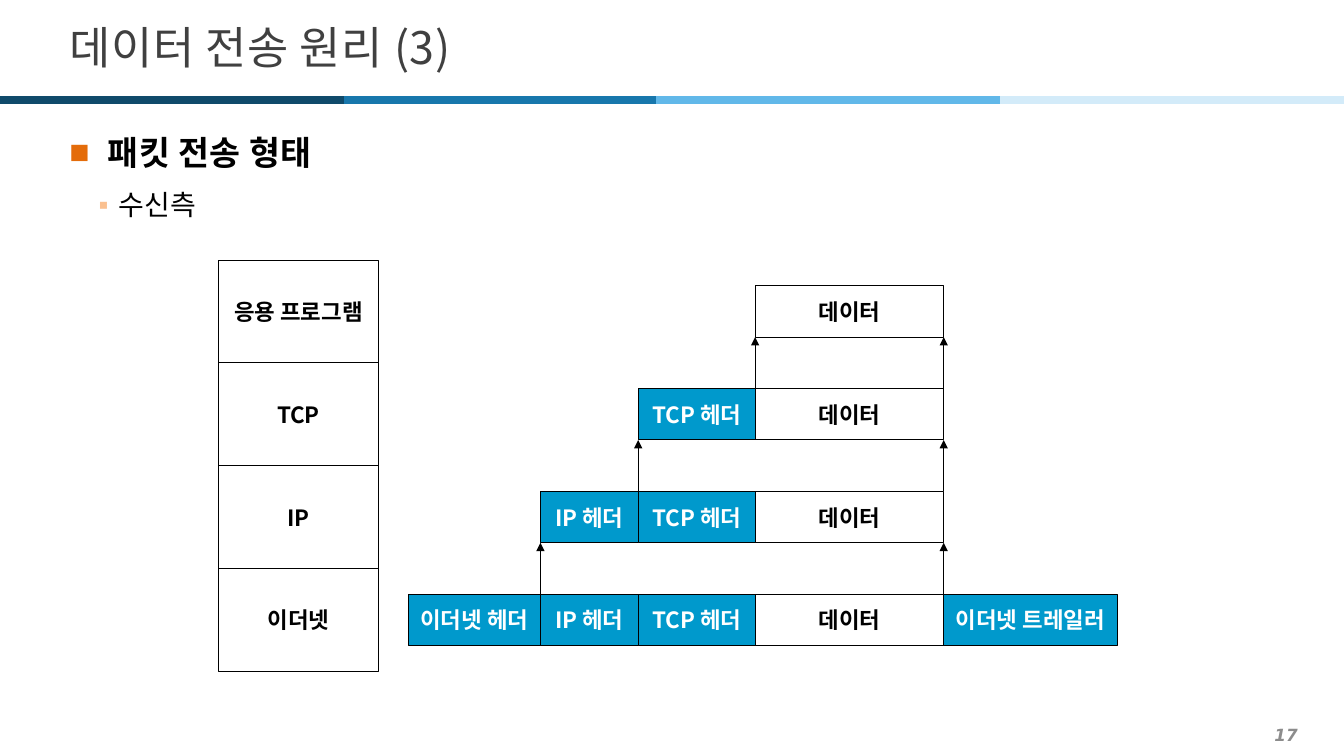
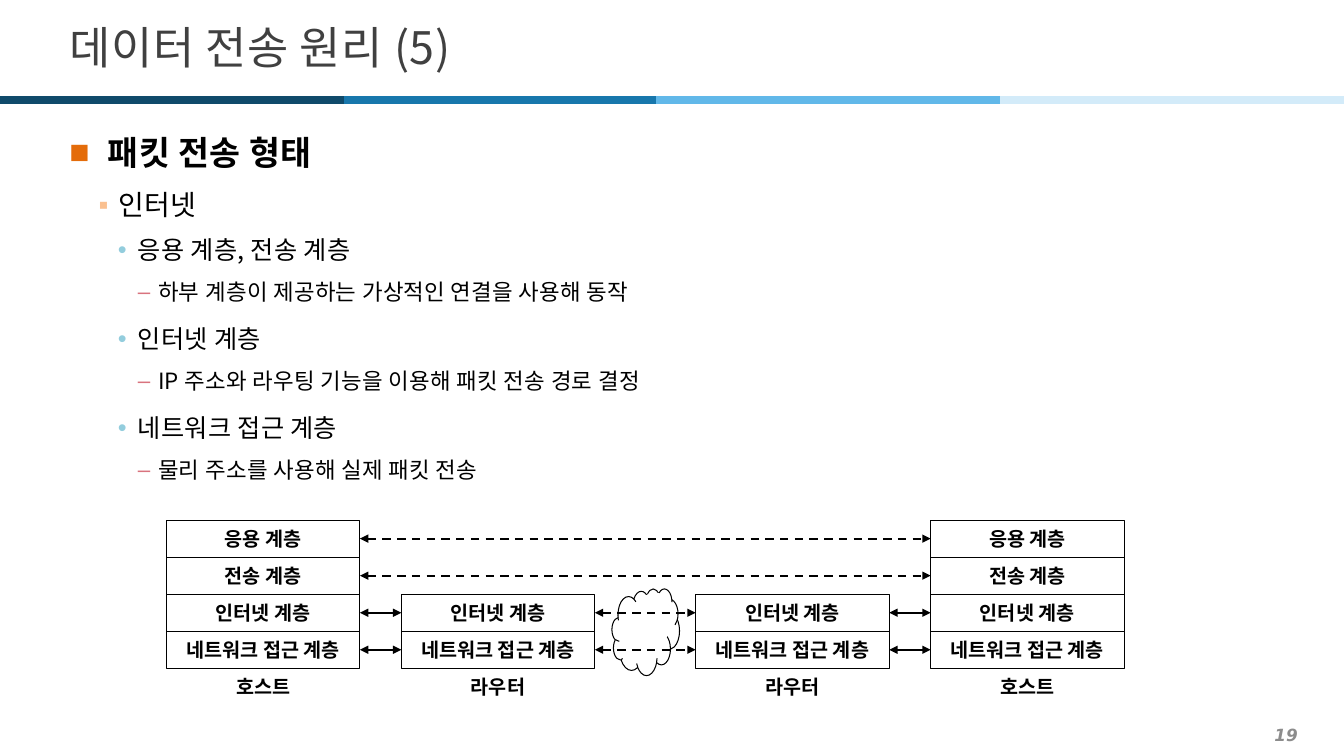
import pptx
import pptx.util
import pptx.dml.color
import pptx.enum.dml
import pptx.enum.shapes
import pptx.enum.text
import pptx.oxml
import pptx.oxml.ns

Inches, Pt = pptx.util.Inches, pptx.util.Pt
SHAPE = pptx.enum.shapes.MSO_SHAPE
ALIGN = pptx.enum.text.PP_ALIGN
ANCHOR = pptx.enum.text.MSO_ANCHOR

# Shared look
WIDTH, HEIGHT = 13.33, 7.5
KOREAN = "Noto Sans CJK KR"
COLORS = {
    "title": "404040", "ink": "000000", "paper": "FFFFFF",
    "page": "8C8C8C", "header": "0099CC",
    "band1": "0F4A6B", "band2": "1877AC", "band3": "61B8E9", "band4": "D3EBF9",
    "bullet0": "E46C0A", "bullet1": "FAC090", "bullet2": "93CDDD", "bullet3": "D9737E",
}
BAND_EDGES = [0, 3.41, 6.51, 9.92, WIDTH]
BAND_Y = 0.99
MARGIN, CONTENT_WIDTH = 0.59, 12.21

# Outline levels: bullet, left margin, hanging indent, then text format
LEVELS = [
    ("■", 0.38, 0.38, dict(size=24, bold=True, font="Arial", spacing=1.2, after=2,
                           tracking=0.35)),
    ("▪", 0.49, 0.2, dict(size=20, spacing=1.3, before=2, after=2)),
    ("•", 0.68, 0.2, dict(size=18, spacing=1.2, before=3, after=6, tracking=0.2)),
    ("–", 0.88, 0.2, dict(size=16, before=3.5, after=6, tracking=0.25)),
]

# Packet diagram grid
STACK_LEFT, STACK_WIDTH = 2.17, 1.58
STACK_TOP, STACK_BOTTOM = 2.58, 6.66
LAYERS = ["응용 프로그램", "TCP", "IP", "이더넷"]
PARTS = ["이더넷 헤더", "IP 헤더", "TCP 헤더", "데이터", "이더넷 트레일러"]
PART_EDGES = [4.05, 5.36, 6.33, 7.49, 9.36, 11.08]
DATA = PARTS.index("데이터")
PACKETS = [(3, 4), (2, 4), (1, 4), (0, 5)]  # first and end part of each layer

# Internet diagram grid
NODE_WIDTH = 1.92
NODE_TOP, NODE_BOTTOM = 5.16, 6.63
NET_LAYERS = ["응용 계층", "전송 계층", "인터넷 계층", "네트워크 접근 계층"]
NODES = [("호스트", 1.65, 0), ("라우터", 3.98, 2), ("라우터", 6.9, 2), ("호스트", 9.23, 0)]
NET_LINKS = [  # layer row, left node, right node, dashed
    (0, 0, 3, True), (1, 0, 3, True),
    *((row, node, node + 1, node == 1) for row in (2, 3) for node in range(3)),
]


def rgb(name):
    return pptx.dml.color.RGBColor.from_string(COLORS[name])


def add_xml(parent, tag, **attributes):
    child = pptx.oxml.parse_xml(f"<a:{tag} {pptx.oxml.ns.nsdecls('a')}/>")
    for key, value in attributes.items():
        child.set(key, str(value))
    parent.append(child)
    return child


def write(paragraph, text, size=16, color="ink", bold=False, italic=False, font=KOREAN,
          align=ALIGN.LEFT, spacing=1.0, before=0, after=0, tracking=0):
    paragraph.alignment = align
    paragraph.line_spacing = spacing
    paragraph.space_before, paragraph.space_after = Pt(before), Pt(after)
    run = paragraph.add_run()
    run.text = text
    run.font.size, run.font.bold, run.font.italic = Pt(size), bold, italic
    run.font.name = font
    run.font.color.rgb = rgb(color)
    add_xml(run.font._element, "ea", typeface=KOREAN)
    if tracking:
        run.font._element.set("spc", str(round(tracking * 100)))


def text_box(slide, left, top, width, height, anchor=ANCHOR.MIDDLE, wrap=True):
    box = slide.shapes.add_textbox(Inches(left), Inches(top), Inches(width), Inches(height))
    box.text_frame.word_wrap = wrap
    box.text_frame.vertical_anchor = anchor
    return box.text_frame


def shape(slide, kind, left, top, width, height, fill=None, line="ink"):
    item = slide.shapes.add_shape(kind, Inches(left), Inches(top), Inches(width), Inches(height))
    item.shadow.inherit = False
    if fill:
        item.fill.solid()
        item.fill.fore_color.rgb = rgb(fill)
    else:
        item.fill.background()
    item.line.color.rgb = rgb(line)
    item.line.width = Pt(0.75)
    return item


def cell(slide, text, left, top, width, height, size=16, fill=None):
    frame = shape(slide, SHAPE.RECTANGLE, left, top, width, height, fill).text_frame
    frame.word_wrap = False
    frame.vertical_anchor = ANCHOR.MIDDLE
    write(frame.paragraphs[0], text, size=size, bold=True, align=ALIGN.CENTER,
          color="paper" if fill else "ink")


def line(slide, x1, y1, x2, y2, color="ink", width=0.75, dashed=False, arrows=()):
    stroke = slide.shapes.add_connector(pptx.enum.shapes.MSO_CONNECTOR.STRAIGHT,
                                        Inches(x1), Inches(y1), Inches(x2), Inches(y2))
    stroke.line.color.rgb = rgb(color)
    stroke.line.width = Pt(width)
    if dashed:
        stroke.line.dash_style = pptx.enum.dml.MSO_LINE.DASH
    for end in arrows:
        add_xml(stroke.line._get_or_add_ln(), end, type="triangle")
    add_xml(stroke._element.spPr, "effectLst")


def outline(slide, entries):
    frame = text_box(slide, MARGIN, 1.18, CONTENT_WIDTH, 6.03, anchor=ANCHOR.TOP)
    for index, (level, text) in enumerate(entries):
        paragraph = frame.add_paragraph() if index else frame.paragraphs[0]
        bullet, margin, hanging, text_format = LEVELS[level]
        write(paragraph, text, **text_format)
        paragraph.level = level
        properties = paragraph._p.get_or_add_pPr()
        properties.set("marL", str(Inches(margin)))
        properties.set("indent", str(-Inches(hanging)))
        add_xml(add_xml(properties, "buClr"), "srgbClr", val=COLORS[f"bullet{level}"])
        add_xml(properties, "buFont", typeface="Arial")
        add_xml(properties, "buChar", char=bullet)


def new_slide(deck, title, page, entries):
    slide = deck.slides.add_slide(deck.slide_layouts[6])
    for number, (start, end) in enumerate(zip(BAND_EDGES, BAND_EDGES[1:]), 1):
        line(slide, start, BAND_Y, end, BAND_Y, color=f"band{number}", width=6)
    page_frame = text_box(slide, 0.2, 7.13, 12.77, 0.31)
    write(page_frame.paragraphs[0], page, size=12, color="page", bold=True, italic=True,
          font="DejaVu Sans", align=ALIGN.RIGHT)
    title_frame = text_box(slide, MARGIN, 0.12, CONTENT_WIDTH, 0.68)
    write(title_frame.paragraphs[0], title, size=32, color="title", tracking=0.4)
    outline(slide, entries)
    return slide


def packet_diagram(slide):
    pitch = (STACK_BOTTOM - STACK_TOP) / len(LAYERS)
    height = pitch / 2
    for row, (layer, (first, end)) in enumerate(zip(LAYERS, PACKETS)):
        layer_top = STACK_TOP + row * pitch
        top = layer_top + pitch / 4
        cell(slide, layer, STACK_LEFT, layer_top, STACK_WIDTH, pitch)
        for part in range(first, end):
            left, right = PART_EDGES[part:part + 2]
            cell(slide, PARTS[part], left, top, right - left, height,
                 fill=None if part == DATA else "header")
        # Each packet is handed up to the layer above
        if row:
            for edge in PACKETS[row - 1]:
                x = PART_EDGES[edge]
                line(slide, x, top, x, top - height, arrows=["tailEnd"])


def internet_diagram(slide):
    pitch = (NODE_BOTTOM - NODE_TOP) / len(NET_LAYERS)
    # Network cloud, with its callout bubbles covered
    cloud = shape(slide, SHAPE.CLOUD_CALLOUT, 6.07, 5.84, 0.67, 0.86, fill="paper")
    cloud.adjustments[0], cloud.adjustments[1] = 0.057, -0.057
    shape(slide, SHAPE.OVAL, 6.32, 5.88, 0.34, 0.51, fill="paper", line="paper")
    # Hosts and routers
    for name, left, first in NODES:
        for row in range(first, len(NET_LAYERS)):
            cell(slide, NET_LAYERS[row], left, NODE_TOP + row * pitch, NODE_WIDTH, pitch, size=14)
        label = text_box(slide, left, NODE_BOTTOM, NODE_WIDTH, pitch, wrap=False)
        write(label.paragraphs[0], name, size=14, bold=True, align=ALIGN.CENTER)
    # Links between equal layers
    for row, start, end, dashed in NET_LINKS:
        y = NODE_TOP + (row + 0.5) * pitch
        line(slide, NODES[start][1] + NODE_WIDTH, y, NODES[end][1], y, width=1.5,
             dashed=dashed, arrows=["headEnd", "tailEnd"])


def main():
    deck = pptx.Presentation()
    deck.slide_width, deck.slide_height = Inches(WIDTH), Inches(HEIGHT)

    packet_diagram(new_slide(deck, "데이터 전송 원리 (3)", "17", [
        (0, "패킷 전송 형태"),
        (1, "수신측"),
    ]))
    internet_diagram(new_slide(deck, "데이터 전송 원리 (5)", "19", [
        (0, "패킷 전송 형태"),
        (1, "인터넷"),
        (2, "응용 계층, 전송 계층"),
        (3, "하부 계층이 제공하는 가상적인 연결을 사용해 동작"),
        (2, "인터넷 계층"),
        (3, "IP 주소와 라우팅 기능을 이용해 패킷 전송 경로 결정"),
        (2, "네트워크 접근 계층"),
        (3, "물리 주소를 사용해 실제 패킷 전송"),
    ]))
    deck.save("out.pptx")


if __name__ == "__main__":
    main()
